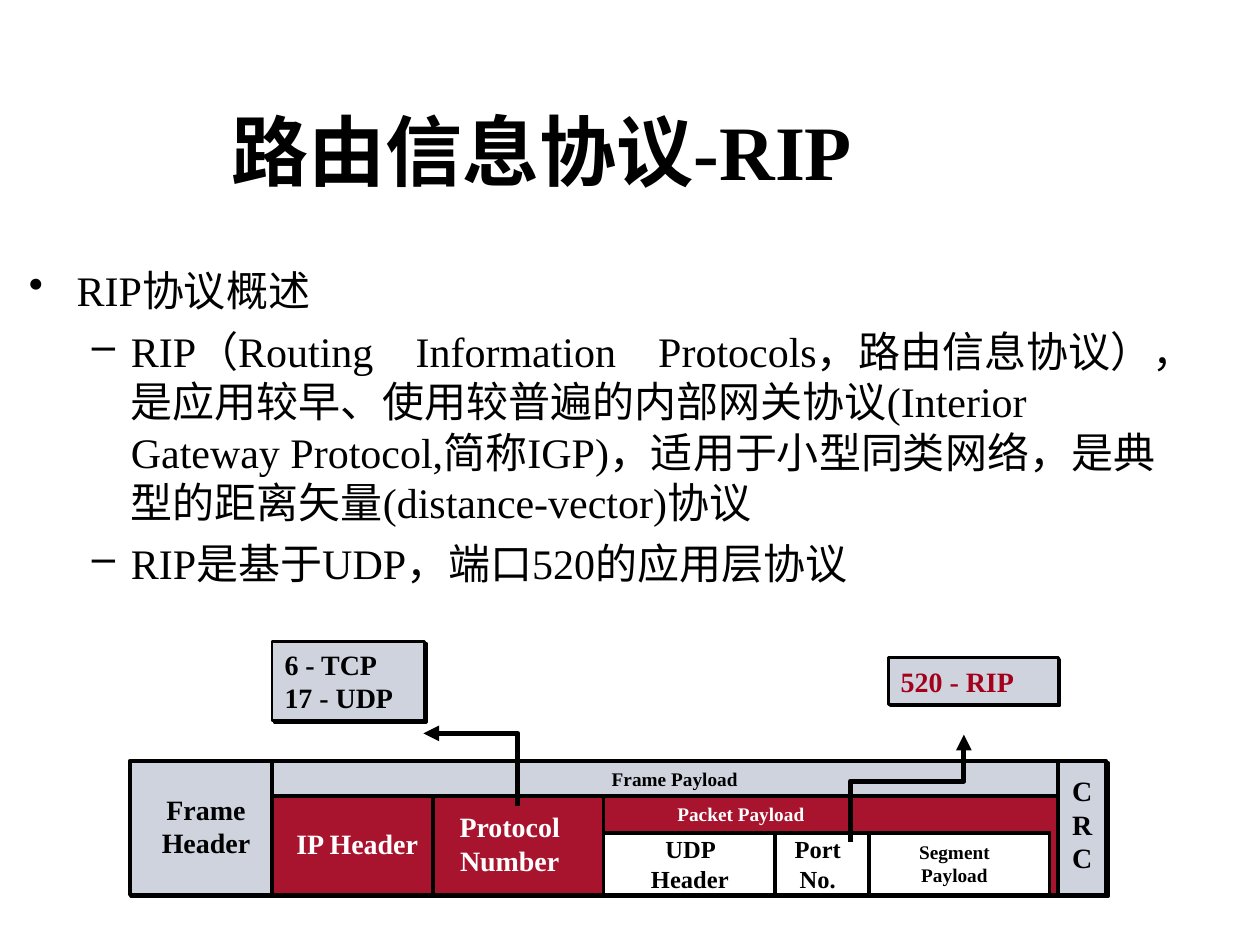
from typing import NamedTuple, Optional

from lxml import etree
from pptx import Presentation
from pptx.dml.color import RGBColor
from pptx.enum.shapes import MSO_CONNECTOR, MSO_SHAPE
from pptx.enum.text import MSO_ANCHOR, MSO_AUTO_SIZE, PP_ALIGN
from pptx.oxml.ns import qn
from pptx.util import Pt

PX = 9144  # EMU per px, at 100 px to the inch
FONT = "Times New Roman"
COLORS = {"black": "000000", "white": "FFFFFF", "gray": "CED3DE", "red": "A4001B"}

RECTANGLE = MSO_SHAPE.RECTANGLE
STRAIGHT = MSO_CONNECTOR.STRAIGHT
LEFT, CENTER = PP_ALIGN.LEFT, PP_ALIGN.CENTER
TOP, MIDDLE = MSO_ANCHOR.TOP, MSO_ANCHOR.MIDDLE
NO_FIT, GROW = MSO_AUTO_SIZE.NONE, MSO_AUTO_SIZE.SHAPE_TO_FIT_TEXT


class Box(NamedTuple):
    left: int
    top: int
    width: int
    height: int


class Field(NamedTuple):
    """A rectangle of the packet diagram."""
    box: Box
    fill: str
    opacity: int = 100
    line_width: float = 2.25
    shadow: bool = False
    text: str = ""
    text_color: str = "black"


class Label(NamedTuple):
    text: str
    box: Box
    size: int
    color: str = "black"


class Divider(NamedTuple):
    x: int
    top: int


class BodyLine(NamedTuple):
    text: str
    bullet: str
    margin: int
    hanging: int
    line_spacing: Optional[float] = None


FRAME_BOTTOM = 710
BODY_BOX = Box(13, 197, 932, 300)
BODY = [
    BodyLine("RIP协议概述", "•", 38, 38, 1.2),
    BodyLine("RIP（Routing　Information　Protocols，路由信息协议），是应用较早、使用较普遍的"
             "内部网关协议(Interior Gateway Protocol,简称IGP)，适用于小型同类网络，"
             "是典型的距离矢量(distance-vector)协议", "–", 81, 31),
    BodyLine("RIP是基于UDP，端口520的应用层协议", "–", 81, 31),
]
FIELDS = [
    Field(Box(103, 604, 775, 106), "gray", shadow=True),
    Field(Box(216, 632, 624, 78), "red", opacity=90),
    Field(Box(479, 661, 354, 49), "white"),
    Field(Box(216, 509, 121, 63), "gray", line_width=1.5, shadow=True,
          text="6 - TCP\n17 - UDP"),
    Field(Box(705, 522, 135, 37), "gray", line_width=1.5, shadow=True,
          text="520 - RIP", text_color="red"),
]
DIVIDERS = [Divider(216, 604), Divider(344, 632), Divider(479, 632),
            Divider(615, 661), Divider(690, 661), Divider(840, 604)]
LABELS = [
    Label("UDP Header", Box(487, 657, 121, 57), 14),
    Label("Port No.", Box(615, 657, 68, 57), 14),
    Label("Segment\nPayload", Box(697, 662, 121, 47), 11),
    Label("IP Header", Box(223, 651, 121, 37), 16, "white"),
    Label("Protocol Number", Box(344, 638, 121, 63), 16, "white"),
    Label("Frame Header", Box(103, 624, 121, 63), 16),
    Label("C\nR\nC", Box(840, 609, 38, 90), 16),
    Label("Packet Payload", Box(449, 632, 278, 28), 11, "white"),
    Label("Frame Payload", Box(396, 604, 279, 28), 11),
]
ARROWS = [
    [(411, 640), (411, 582), (336, 582)],
    [(675, 668), (675, 620), (765, 620), (765, 583)],
]


def rgb(name: str) -> RGBColor:
    return RGBColor.from_string(COLORS[name])


def emu(box: Box) -> list[int]:
    return [length * PX for length in box]


def add_xml(parent, tag: str, **attributes):
    element = etree.SubElement(parent, qn(tag))
    for name, value in attributes.items():
        element.set(name, str(value))
    return element


def write_text(shape, text: str, *, size: int, color: str = "black", bold: bool = True,
               align=CENTER, anchor=MIDDLE, auto_size=GROW) -> None:
    frame = shape.text_frame
    frame.text = text
    frame.word_wrap = True
    frame.auto_size = auto_size
    frame.vertical_anchor = anchor
    for paragraph in frame.paragraphs:
        paragraph.alignment = align
        for run in paragraph.runs:
            run.font.name = FONT
            run.font.size = Pt(size)
            run.font.bold = bold
            run.font.color.rgb = rgb(color)


def style_line(shape, width: float) -> None:
    shape.line.color.rgb = rgb("black")
    shape.line.width = Pt(width)


def add_title(slide, text: str, box: Box) -> None:
    title = slide.shapes.title
    title.left, title.top, title.width, title.height = emu(box)
    write_text(title, text, size=44, auto_size=NO_FIT)


def add_body(slide, lines: list[BodyLine], box: Box) -> None:
    shape = slide.shapes.add_textbox(*emu(box))
    write_text(shape, "\n".join(line.text for line in lines), size=24, bold=False,
               align=LEFT, anchor=TOP, auto_size=NO_FIT)
    for paragraph, line in zip(shape.text_frame.paragraphs, lines):
        paragraph.level = 0 if line.bullet == "•" else 1
        paragraph.space_before = Pt(6)
        if line.line_spacing:
            paragraph.line_spacing = line.line_spacing
        properties = paragraph._p.get_or_add_pPr()
        properties.set("marL", str(line.margin * PX))
        properties.set("indent", str(-line.hanging * PX))
        bullet_color = add_xml(properties, "a:buClr")
        add_xml(bullet_color, "a:srgbClr", val=COLORS["black"])
        add_xml(properties, "a:buChar", char=line.bullet)


def add_field(slide, field: Field) -> None:
    shape = slide.shapes.add_shape(RECTANGLE, *emu(field.box))
    shape.shadow.inherit = False
    shape.fill.solid()
    shape.fill.fore_color.rgb = rgb(field.fill)
    style_line(shape, field.line_width)
    properties = shape._element.spPr
    if field.opacity < 100:
        fill_color = properties.find(qn("a:solidFill")).find(qn("a:srgbClr"))
        add_xml(fill_color, "a:alpha", val=field.opacity * 1000)
    if field.shadow:
        shadow = add_xml(properties.find(qn("a:effectLst")), "a:outerShdw",
                         dist=Pt(1.4), dir=45 * 60000, algn="ctr", rotWithShape=0)
        add_xml(shadow, "a:srgbClr", val=COLORS["black"])
    if field.text:
        write_text(shape, field.text, size=16, color=field.text_color, align=LEFT)


def add_divider(slide, divider: Divider) -> None:
    x = divider.x * PX
    connector = slide.shapes.add_connector(STRAIGHT, x, divider.top * PX, x, FRAME_BOTTOM * PX)
    style_line(connector, 2.25)
    add_xml(connector._element.spPr, "a:effectLst")


def add_label(slide, label: Label) -> None:
    shape = slide.shapes.add_textbox(*emu(label.box))
    write_text(shape, label.text, size=label.size, color=label.color)


def add_bent_arrow(slide, points: list[tuple[int, int]]) -> None:
    builder = slide.shapes.build_freeform(*points[0], scale=PX)
    builder.add_line_segments(points[1:], close=False)
    shape = builder.convert_to_shape()
    shape.shadow.inherit = False
    shape.fill.background()
    style_line(shape, 3)
    add_xml(shape.line._get_or_add_ln(), "a:tailEnd", type="triangle")


def main() -> None:
    presentation = Presentation()
    presentation.slide_width, presentation.slide_height = 1000 * PX, 750 * PX
    slide = presentation.slides.add_slide(presentation.slide_layouts[5])
    add_title(slide, "路由信息协议-RIP", Box(20, 76, 820, 85))
    add_body(slide, BODY, BODY_BOX)
    for draw, items in ((add_field, FIELDS), (add_divider, DIVIDERS),
                        (add_label, LABELS), (add_bent_arrow, ARROWS)):
        for item in items:
            draw(slide, item)
    presentation.save("out.pptx")


if __name__ == "__main__":
    main()
